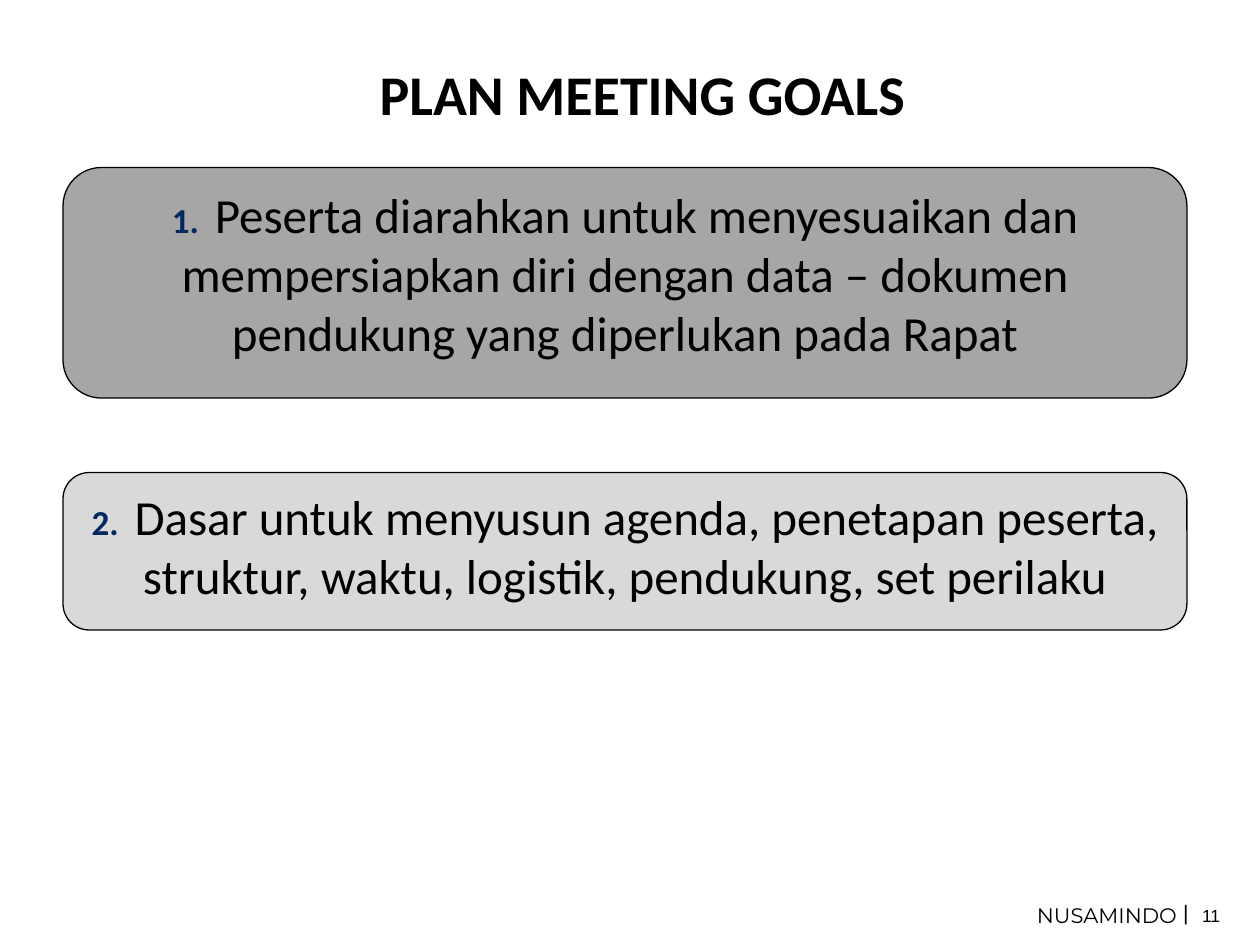
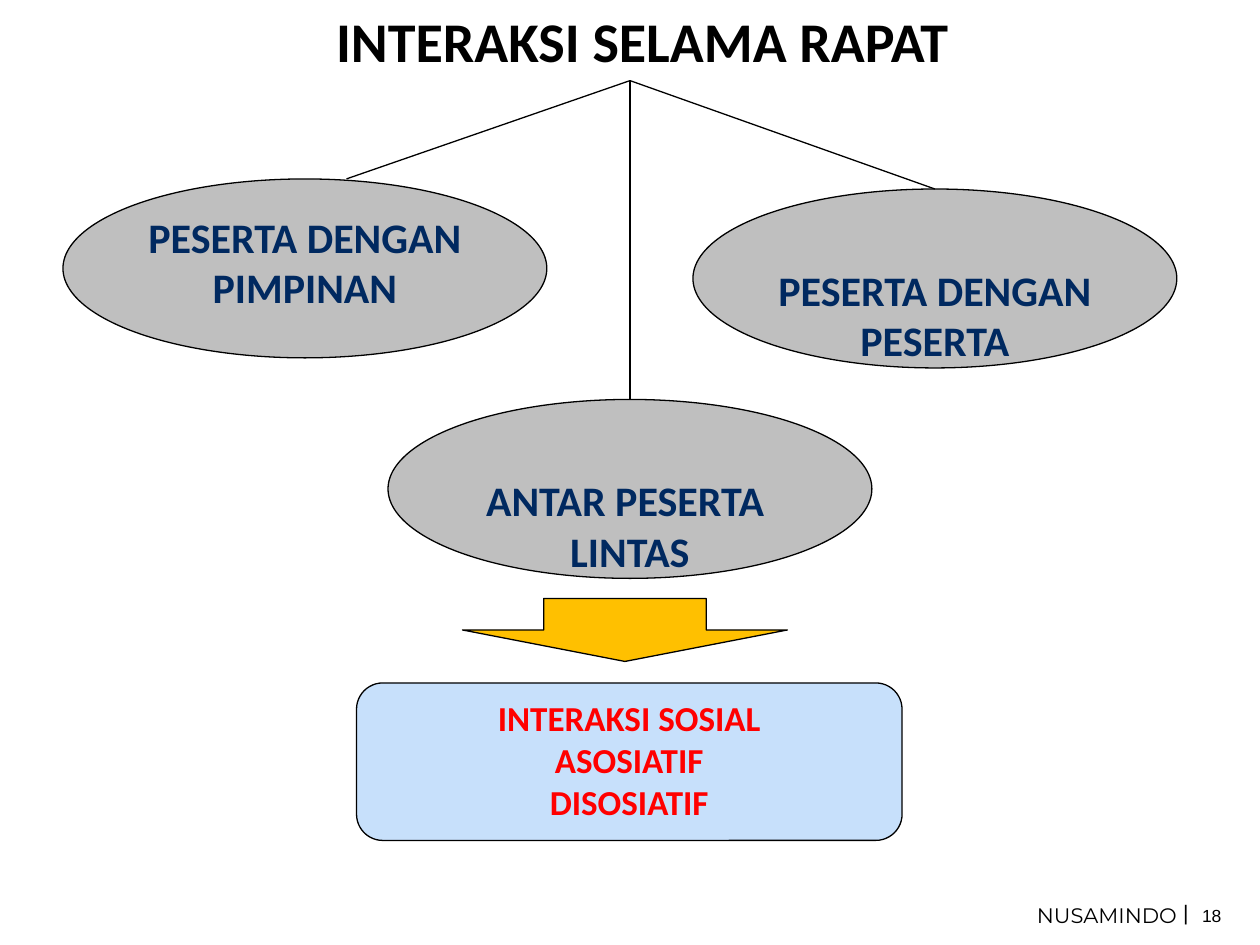
from dataclasses import dataclass

import pptx
import pptx.dml.color
import pptx.enum.shapes
import pptx.enum.text
import pptx.oxml
import pptx.util
from pptx.util import Inches

SHAPE = pptx.enum.shapes.MSO_SHAPE
ALIGN = pptx.enum.text.PP_ALIGN
ANCHOR = pptx.enum.text.MSO_ANCHOR
TOP_SITE = 0


@dataclass(frozen=True)
class Theme:
    black: str = "000000"
    navy: str = "002960"
    red: str = "FF0000"
    dark_grey: str = "A6A6A6"
    mid_grey: str = "BFBFBF"
    light_grey: str = "D9D9D9"
    amber: str = "FFC000"
    pale_blue: str = "C7E0FB"
    font: str = "Calibri"
    brand_font: str = "Montserrat"
    footer_font: str = "Arial"
    title_size: int = 32
    body_size: int = 28
    oval_size: int = 24
    small_size: int = 20
    brand_size: int = 12
    page_size: int = 10
    line_width: float = 0.75


def rgb(value):
    return pptx.dml.color.RGBColor.from_string(value)


class Deck:
    def __init__(self, theme):
        self.theme = theme
        self.prs = pptx.Presentation()
        self.prs.slide_width = Inches(10)
        self.prs.slide_height = Inches(7.5)
        self.slide = None

    def new_slide(self, title, title_top, page):
        title_only = self.prs.slide_layouts[5]
        self.slide = self.prs.slides.add_slide(title_only)
        self.title(title, title_top)
        self.footer(page)

    def run(self, p, text, size, color, bold=False, font=None):
        r = p.add_run()
        r.text = text
        r.font.name = font or self.theme.font
        r.font.size = pptx.util.Pt(size)
        r.font.bold = bold
        r.font.color.rgb = rgb(color)
        return r

    def title(self, text, top):
        sp = self.slide.shapes.title
        sp.left, sp.top = Inches(0.2), Inches(top)
        sp.width, sp.height = Inches(9.8), Inches(0.64)
        tf = sp.text_frame
        tf.vertical_anchor = ANCHOR.TOP
        tf.auto_size = pptx.enum.text.MSO_AUTO_SIZE.NONE
        p = tf.paragraphs[0]
        p.alignment = ALIGN.CENTER
        self.run(p, text, self.theme.title_size, self.theme.black, bold=True)

    def label(self, text, box, size, font, align=ALIGN.LEFT, inset=0):
        sp = self.slide.shapes.add_textbox(*map(Inches, box))
        tf = sp.text_frame
        tf.word_wrap = False
        tf.margin_left = tf.margin_right = Inches(inset)
        tf.margin_top = tf.margin_bottom = Inches(inset / 2)
        p = tf.paragraphs[0]
        p.alignment = align
        self.run(p, text, size, self.theme.black, font=font)

    def footer(self, page):
        t = self.theme
        self.label("NUSAMINDO", (8.11, 7.11, 1.35, 0.31), t.brand_size,
                   t.brand_font, ALIGN.CENTER, inset=0.1)
        self.label("|", (9.39, 7.14, 0.04, 0.21), t.brand_size, t.footer_font, ALIGN.RIGHT)
        self.label(str(page), (9.54, 7.18, 0.22, 0.17), t.page_size, t.footer_font)

    def shape(self, kind, box, fill, inset_top=0.05):
        sp = self.slide.shapes.add_shape(kind, *map(Inches, box))
        sp.shadow.inherit = False
        sp.fill.solid()
        sp.fill.fore_color.rgb = rgb(fill)
        sp.line.color.rgb = rgb(self.theme.black)
        sp.line.width = pptx.util.Pt(self.theme.line_width)
        tf = sp.text_frame
        tf.word_wrap = True
        tf.vertical_anchor = ANCHOR.TOP
        tf.margin_top = Inches(inset_top)
        return sp

    def lines(self, sp, texts, size, color):
        """Fill a shape with bold centred paragraphs."""
        tf = sp.text_frame
        for i, text in enumerate(texts):
            p = tf.add_paragraph() if i else tf.paragraphs[0]
            p.alignment = ALIGN.CENTER
            self.run(p, text, size, color, bold=True)

    def goal(self, number, text, box, fill):
        t = self.theme
        sp = self.shape(SHAPE.ROUNDED_RECTANGLE, box, fill)
        p = sp.text_frame.paragraphs[0]
        p.alignment = ALIGN.CENTER
        self.run(p, f"{number}.", t.small_size, t.navy, bold=True)
        gap = self.run(p, " ", t.small_size, t.navy, bold=True)
        gap.font._element.set("spc", "450")
        self.run(p, text, t.body_size, t.black)

    def oval(self, texts, left, top, inset_top=0.05):
        t = self.theme
        sp = self.shape(SHAPE.OVAL, (left, top, 3.84, 1.42), t.mid_grey, inset_top)
        self.lines(sp, texts, t.oval_size, t.navy)
        return sp

    def connector(self, start, end, target=None):
        line = self.slide.shapes.add_connector(
            pptx.enum.shapes.MSO_CONNECTOR.STRAIGHT, *map(Inches, start + end))
        if target is not None:
            line.end_connect(target, TOP_SITE)
        line.line.color.rgb = rgb(self.theme.black)
        line.line.width = pptx.util.Pt(self.theme.line_width)
        sp_pr = line._element.spPr
        sp_pr.append(pptx.oxml.parse_xml(
            '<a:effectLst xmlns:a="http://schemas.openxmlformats.org/drawingml/2006/main"/>'))


def build_goals(deck):
    t = deck.theme
    deck.new_slide("PLAN MEETING GOALS", 0.42, 11)
    deck.goal(1, "Peserta diarahkan untuk menyesuaikan dan mempersiapkan diri dengan "
              "data – dokumen pendukung yang diperlukan pada Rapat",
              (0.5, 1.33, 8.92, 1.83), t.dark_grey)
    deck.goal(2, "Dasar untuk menyusun agenda, penetapan peserta, struktur, waktu, "
              "logistik, pendukung, set perilaku",
              (0.5, 3.75, 8.92, 1.25), t.light_grey)


def build_interaction(deck):
    t = deck.theme
    lowered = 0.39
    hub = (5, 0.64)
    deck.new_slide("INTERAKSI SELAMA RAPAT", 0, 18)
    deck.oval(["PESERTA DENGAN PIMPINAN"], 0.5, 1.42)
    peers = deck.oval(["PESERTA DENGAN PESERTA"], 5.5, 1.5, lowered)
    cross = deck.oval(["ANTAR PESERTA ", "LINTAS"], 3.08, 3.17, lowered)
    deck.connector(hub, (2.75, 1.42))
    deck.connector(hub, (7.42, 1.5), peers)
    deck.connector(hub, (5, 3.17), cross)
    deck.shape(SHAPE.DOWN_ARROW, (3.67, 4.75, 2.58, 0.5), t.amber)
    result = deck.shape(SHAPE.ROUNDED_RECTANGLE, (2.83, 5.42, 4.33, 1.25), t.pale_blue)
    deck.lines(result, ["INTERAKSI SOSIAL", "ASOSIATIF", "DISOSIATIF"], t.small_size, t.red)


def main():
    deck = Deck(Theme())
    build_goals(deck)
    build_interaction(deck)
    deck.prs.save("out.pptx")


if __name__ == "__main__":
    main()
